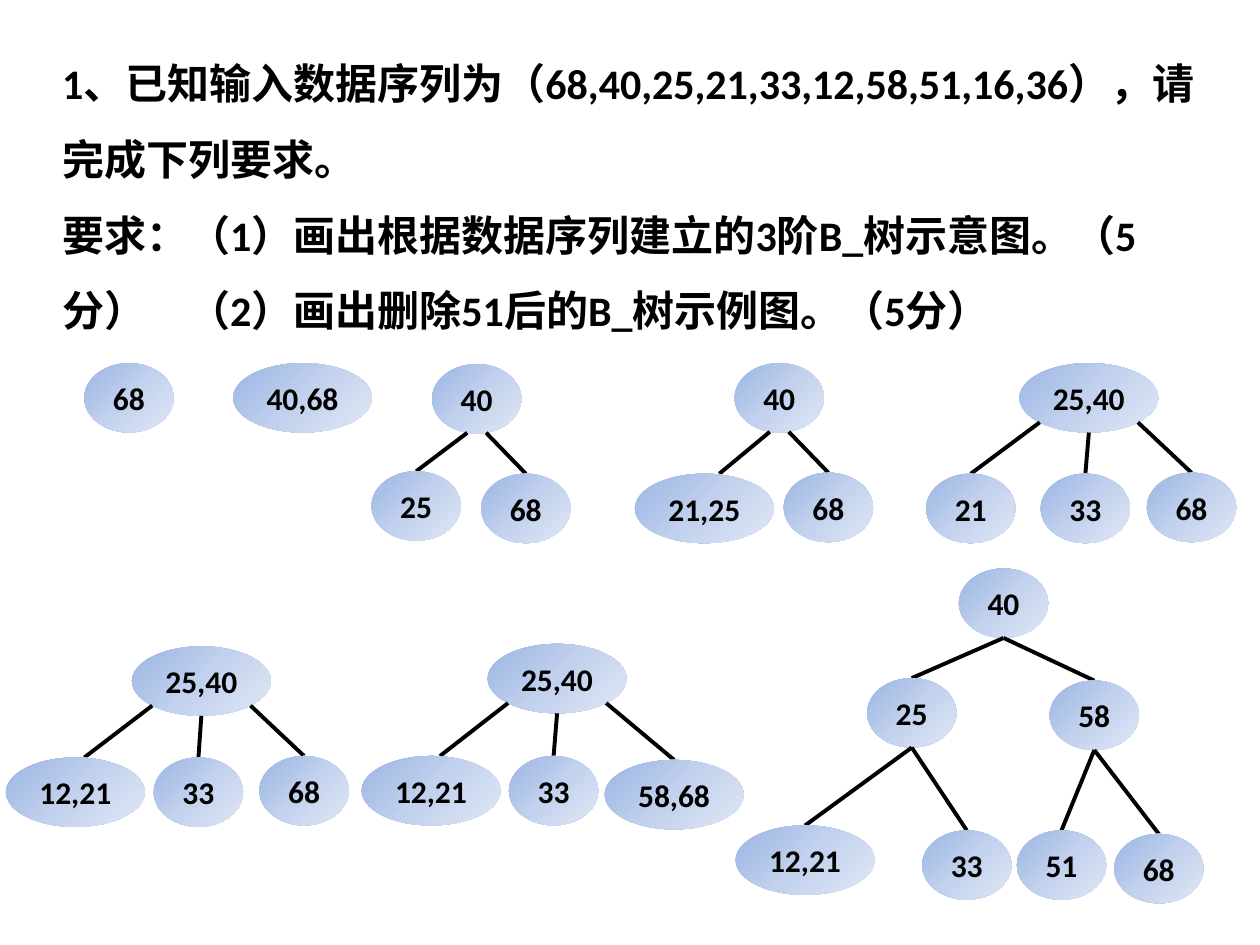
from copy import deepcopy
from dataclasses import dataclass
from math import sqrt

from pptx import Presentation
from pptx.dml.color import RGBColor
from pptx.enum.shapes import MSO_CONNECTOR as Connector, MSO_SHAPE as Shape
from pptx.enum.text import MSO_ANCHOR as Anchor, MSO_AUTO_SIZE as AutoSize, PP_ALIGN as Align
from pptx.oxml import parse_xml
from pptx.oxml.ns import nsdecls, qn
from pptx.util import Cm, Pt

BLACK = RGBColor(0x00, 0x00, 0x00)
GRADIENT = [
    (0, RGBColor(0x9A, 0xB5, 0xE4)),
    (0.5, RGBColor(0xC2, 0xD1, 0xED)),
    (1, RGBColor(0xE1, 0xE8, 0xF5)),
]
FONT = "Calibri"
NODE_HEIGHT = 1.4
ONE_KEY_WIDTH = 1.8
TWO_KEY_WIDTH = 2.8
PAIR = 0.19
TRIPLE = 0.99

QUESTION = [
    "1、已知输入数据序列为（68,40,25,21,33,12,58,51,16,36），请完成下列要求。",
    "要求：（1）画出根据数据序列建立的3阶B_树示意图。（5分）\t（2）画出删除51后的B_树示例图。（5分）",
]


@dataclass
class Node:
    keys: str
    center: float
    top: float
    children: tuple = ()
    spread: float = 0
    landing: float = 0

    @property
    def width(self):
        return TWO_KEY_WIDTH if "," in self.keys else ONE_KEY_WIDTH

    def edge_start(self, offset):
        drop = sqrt(1 - (2 * offset / self.width) ** 2)
        return self.center + offset, self.top + NODE_HEIGHT / 2 * (1 + drop)


TREES = [
    Node("68", 2.6, 7.32),
    Node("40,68", 6.1, 7.32),
    Node("40", 9.61, 7.34, (Node("25", 8.39, 9.5), Node("68", 10.6, 9.55)), PAIR),
    Node("40", 15.71, 7.32,
         (Node("21,25", 14.2, 9.55, landing=0.3), Node("68", 16.7, 9.53)), PAIR),
    Node("25,40", 21.95, 7.32,
         (Node("21", 19.57, 9.55), Node("33", 21.88, 9.55), Node("68", 24.02, 9.53)), TRIPLE),
    Node("25,40", 4.06, 13.03,
         (Node("12,21", 1.52, 15.27, landing=0.18), Node("33", 4, 15.27),
          Node("68", 6.13, 15.24)), TRIPLE),
    Node("25,40", 11.23, 12.98,
         (Node("12,21", 8.69, 15.24, landing=0.18), Node("33", 11.16, 15.24),
          Node("58,68", 13.59, 15.32)), TRIPLE),
    Node("40", 20.23, 11.46, (
        Node("25", 18.38, 13.67, (Node("12,21", 16.23, 16.64), Node("33", 19.49, 16.74))),
        Node("58", 22.06, 13.72, (Node("51", 21.4, 16.74), Node("68", 23.36, 16.81))),
    )),
]


def write_text(paragraph, text, size=18, align=Align.CENTER, line_spacing=None):
    paragraph.alignment = align
    paragraph.line_spacing = line_spacing
    run = paragraph.add_run()
    run.text = text
    run.font.name = FONT
    run.font.size = Pt(size)
    run.font.bold = True
    run.font.color.rgb = BLACK


def add_question(slide):
    title = slide.shapes.title
    title.left, title.top, title.width, title.height = Cm(1), Cm(0.53), Cm(23.4), Cm(9.32)
    frame = title.text_frame
    frame.word_wrap = True
    frame.auto_size = AutoSize.SHAPE_TO_FIT_TEXT
    frame.vertical_anchor = Anchor.TOP
    for index, text in enumerate(QUESTION):
        paragraph = frame.add_paragraph() if index else frame.paragraphs[0]
        write_text(paragraph, text, size=24, align=Align.LEFT, line_spacing=1.5)


def fill_gradient(shape):
    shape.fill.gradient()
    shape.fill.gradient_angle = 315
    stop_list = shape.element.spPr.find(".//" + qn("a:gsLst"))
    stop_list.insert(1, deepcopy(stop_list[0]))
    for stop, (position, color) in zip(shape.fill.gradient_stops, GRADIENT):
        stop.position = position
        stop.color.rgb = color


def add_node(slide, node):
    shape = slide.shapes.add_shape(
        Shape.OVAL, Cm(node.center - node.width / 2), Cm(node.top),
        Cm(node.width), Cm(NODE_HEIGHT))
    shape.shadow.inherit = False
    shape.line.fill.background()
    fill_gradient(shape)
    frame = shape.text_frame
    frame.word_wrap = False
    frame.vertical_anchor = Anchor.MIDDLE
    write_text(frame.paragraphs[0], node.keys)


def add_edge(slide, start, end):
    connector = slide.shapes.add_connector(
        Connector.STRAIGHT, *(Cm(value) for value in (*start, *end)))
    connector.line.color.rgb = BLACK
    connector.line.width = Pt(2.25)
    connector.element.spPr.append(parse_xml(f"<a:effectLst {nsdecls('a')}/>"))


def add_tree(slide, node):
    add_node(slide, node)
    for index, child in enumerate(node.children):
        offset = node.spread * (2 * index / (len(node.children) - 1) - 1)
        add_edge(slide, node.edge_start(offset), (child.center + child.landing, child.top))
        add_tree(slide, child)


def main():
    presentation = Presentation()
    presentation.slide_width = Cm(25.4)
    presentation.slide_height = Cm(19.05)
    slide = presentation.slides.add_slide(presentation.slide_layouts.get_by_name("Title Only"))
    add_question(slide)
    for tree in TREES:
        add_tree(slide, tree)
    presentation.save("out.pptx")


if __name__ == "__main__":
    main()
